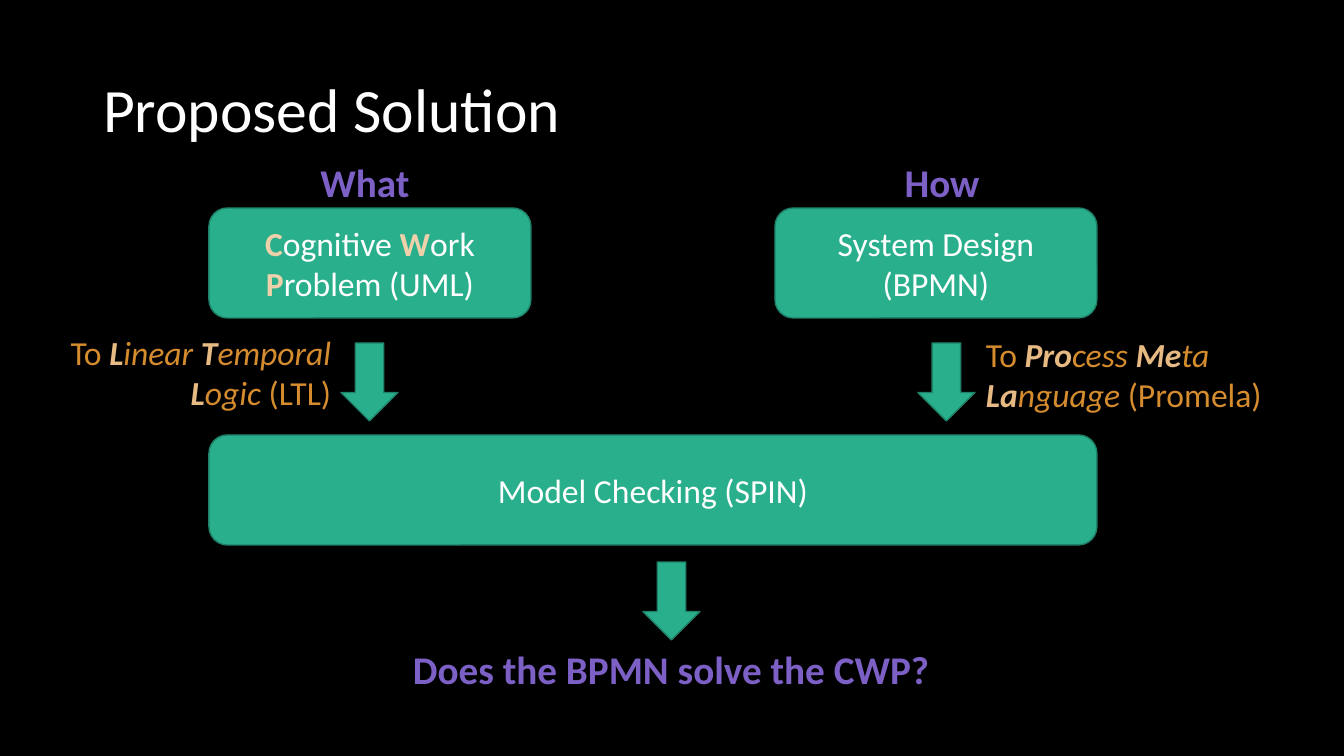
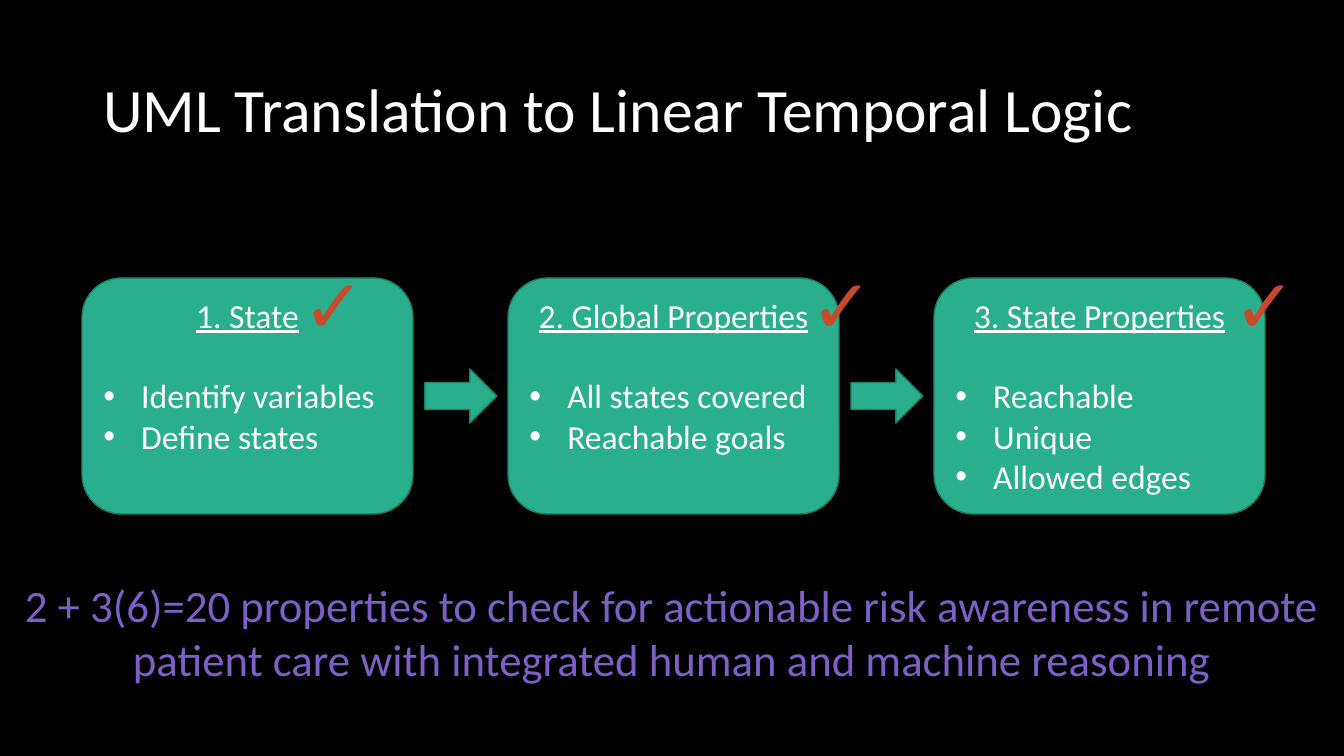
from dataclasses import dataclass
from typing import NamedTuple

from lxml.etree import SubElement
from pptx import Presentation
from pptx.dml.color import RGBColor
from pptx.enum.shapes import MSO_SHAPE
from pptx.enum.text import MSO_ANCHOR, MSO_AUTO_SIZE, PP_ALIGN
from pptx.oxml.ns import qn
from pptx.util import Emu, Pt

SLIDE_WIDTH, SLIDE_HEIGHT = 1344, 756
EMU_PER_PX = 12192000 / SLIDE_WIDTH


@dataclass(frozen=True)
class Theme:
    """Colours, font and type sizes of the deck."""
    font: str = "Calibri"
    background: str = "000000"
    text: str = "FFFFFF"
    panel: str = "29AF8C"
    panel_edge: str = "1E8168"
    panel_initial: str = "EED1AB"
    accent: str = "7C60C6"
    caption: str = "D58C2E"
    caption_initial: str = "E6BA82"
    check: str = "C9492C"
    title_size: int = 44
    check_size: int = 54
    summary_size: int = 32
    label_size: int = 28
    body_size: int = 24


class Box(NamedTuple):
    """A rectangle in px."""
    left: int
    top: int
    width: int
    height: int

    def emu(self):
        """Return the four lengths in EMU."""
        return [px(length) for length in self]

    def inner(self, left, top, width, height):
        """Return a box placed relative to this one."""
        return Box(self.left + left, self.top + top, width, height)


THEME = Theme()
TITLE_BOX = Box(93, 40, 1159, 146)
ARROW_LENGTH, ARROW_BREADTH = 78, 57


def px(length):
    """Turn px into EMU."""
    return Emu(round(length * EMU_PER_PX))


def rgb(colour):
    """Turn a hex string into a colour."""
    return RGBColor.from_string(colour)


def style_run(run, size, colour, bold=False, italic=False):
    """Set the font of one run."""
    font = run.font
    font.name, font.size = THEME.font, Pt(size)
    font.bold, font.italic = bold, italic
    font.color.rgb = rgb(colour)


def style_paragraph(paragraph, size, colour, bold=False, align=PP_ALIGN.LEFT):
    """Set the alignment and the font of a whole paragraph."""
    paragraph.alignment = align
    for run in paragraph.runs:
        style_run(run, size, colour, bold)


def write_marked(paragraph, marked, colour, initial_colour, align):
    """Write body text in which |italics| and *bold initials* are marked."""
    paragraph.alignment = align
    for i, phrase in enumerate(marked.split("|")):
        for j, part in enumerate(phrase.split("*")):
            if part:
                run = paragraph.add_run()
                run.text = part
                initial = j % 2 == 1
                style_run(run, THEME.body_size,
                          initial_colour if initial else colour,
                          bold=initial, italic=i % 2 == 1)


def add_bullet(paragraph):
    """Give a paragraph a round bullet with a hanging indent."""
    properties = paragraph._p.get_or_add_pPr()
    properties.set("marL", "342900")
    properties.set("indent", "-342900")
    SubElement(properties, qn("a:buFont")).set("typeface", "Arial")
    SubElement(properties, qn("a:buChar")).set("char", "•")


def add_panel(slide, box, preset=MSO_SHAPE.ROUNDED_RECTANGLE):
    """Add a green shape and return its text frame."""
    panel = slide.shapes.add_shape(preset, *box.emu())
    panel.shadow.inherit = False
    panel.fill.solid()
    panel.fill.fore_color.rgb = rgb(THEME.panel)
    panel.line.color.rgb = rgb(THEME.panel_edge)
    panel.line.width = Pt(1)
    frame = panel.text_frame
    frame.word_wrap = True
    frame.vertical_anchor = MSO_ANCHOR.MIDDLE
    return frame


def add_text(slide, box):
    """Add a wrapping text box and return its text frame."""
    frame = slide.shapes.add_textbox(*box.emu()).text_frame
    frame.word_wrap = True
    return frame


def add_line(slide, box, text, size, colour, bold=True, align=PP_ALIGN.CENTER):
    """Add a text box in one style."""
    frame = add_text(slide, box)
    frame.text = text
    style_paragraph(frame.paragraphs[0], size, colour, bold, align)


def add_stage(slide, box, marked):
    """Add a panel with centred text."""
    write_marked(add_panel(slide, box).paragraphs[0], marked,
                 THEME.text, THEME.panel_initial, PP_ALIGN.CENTER)


def add_down_arrow(slide, left, top):
    """Add an arrow pointing down."""
    add_panel(slide, Box(left, top, ARROW_BREADTH, ARROW_LENGTH), MSO_SHAPE.DOWN_ARROW)


def add_branch(slide, box, arrow_offset, label, stage, caption, caption_box, align):
    """Add a labelled stage with its arrow and caption."""
    add_stage(slide, box, stage)
    add_line(slide, box.inner(arrow_offset - 59, -55, 166, 57), label,
             THEME.label_size, THEME.accent)
    add_down_arrow(slide, box.left + arrow_offset, box.top + 135)
    write_marked(add_text(slide, caption_box).paragraphs[0], caption,
                 THEME.caption, THEME.caption_initial, align)


def add_card(slide, box, heading, bullets, check_offset):
    """Add a card with an underlined heading, bullets and a check mark."""
    frame = add_panel(slide, box)
    frame.vertical_anchor = MSO_ANCHOR.TOP
    frame.text = "\n".join([heading, *bullets])
    title, *items = frame.paragraphs
    style_paragraph(title, THEME.body_size, THEME.text, align=PP_ALIGN.CENTER)
    title.runs[0].font.underline = True
    title.space_after = Pt(29)
    for item in items:
        style_paragraph(item, THEME.body_size, THEME.text)
        add_bullet(item)
    add_line(slide, box.inner(check_offset, -25, 78, 102), "✓",
             THEME.check_size, THEME.check, align=PP_ALIGN.LEFT)


def add_cards(slide, box, cards, gap):
    """Spread cards over a box with an arrow in each gap."""
    width = (box.width - gap * (len(cards) - 1)) // len(cards)
    arrow_width, arrow_height = 72, 54
    for i, card in enumerate(cards):
        offset = i * (width + gap)
        if i:
            add_panel(slide, box.inner(offset - (gap + arrow_width) // 2,
                                       (box.height - arrow_height) // 2,
                                       arrow_width, arrow_height),
                      MSO_SHAPE.RIGHT_ARROW)
        add_card(slide, box.inner(offset, 0, width, box.height), *card)


def add_titled_slide(deck, heading):
    """Add a slide with its title."""
    slide = deck.slides.add_slide(deck.slide_layouts[5])
    title = slide.shapes.title
    title.left, title.top, title.width, title.height = TITLE_BOX.emu()
    frame = title.text_frame
    frame.text = heading
    frame.auto_size = MSO_AUTO_SIZE.NONE
    frame.vertical_anchor = MSO_ANCHOR.MIDDLE
    paragraph = frame.paragraphs[0]
    paragraph.line_spacing = 0.9
    style_paragraph(paragraph, THEME.title_size, THEME.text)
    return slide


def build_solution(deck):
    """Build the slide on the proposed solution."""
    slide = add_titled_slide(deck, "Proposed Solution")
    add_branch(slide, Box(209, 208, 322, 110), 132, "What",
               "*C*ognitive *W*ork *P*roblem (UML)",
               "To |*L*inear *T*emporal *L*ogic| (LTL)",
               Box(5, 327, 336, 92), PP_ALIGN.RIGHT)
    add_branch(slide, Box(775, 208, 322, 110), 143, "How",
               "System Design (BPMN)",
               "To |*Pro*cess *Me*ta *La*nguage |(Promela)",
               Box(976, 329, 322, 92), PP_ALIGN.LEFT)
    add_stage(slide, Box(209, 435, 888, 110), "Model Checking (SPIN)")
    add_down_arrow(slide, 643, 562)
    add_line(slide, Box(282, 640, 778, 57), "Does the BPMN solve the CWP?",
             THEME.label_size, THEME.accent)


def build_translation(deck):
    """Build the slide on the translation steps."""
    slide = add_titled_slide(deck, "UML Translation to Linear Temporal Logic")
    cards = [
        ("1. State", ["Identify variables", "Define states"], 211),
        ("2. Global Properties", ["All states covered", "Reachable goals"], 293),
        ("3. State Properties", ["Reachable", "Unique", "Allowed edges"], 290),
    ]
    add_cards(slide, Box(82, 278, 1183, 236), cards, gap=95)
    add_line(slide, Box(0, 573, SLIDE_WIDTH, 119),
             "2 + 3(6)=20 properties to check for actionable risk awareness in "
             "remote patient care with integrated human and machine reasoning",
             THEME.summary_size, THEME.accent, bold=False)


def main():
    """Build and save the deck."""
    deck = Presentation()
    deck.slide_width, deck.slide_height = px(SLIDE_WIDTH), px(SLIDE_HEIGHT)
    backdrop = deck.slide_master.background.fill
    backdrop.solid()
    backdrop.fore_color.rgb = rgb(THEME.background)
    build_solution(deck)
    build_translation(deck)
    deck.save("out.pptx")


if __name__ == "__main__":
    main()
